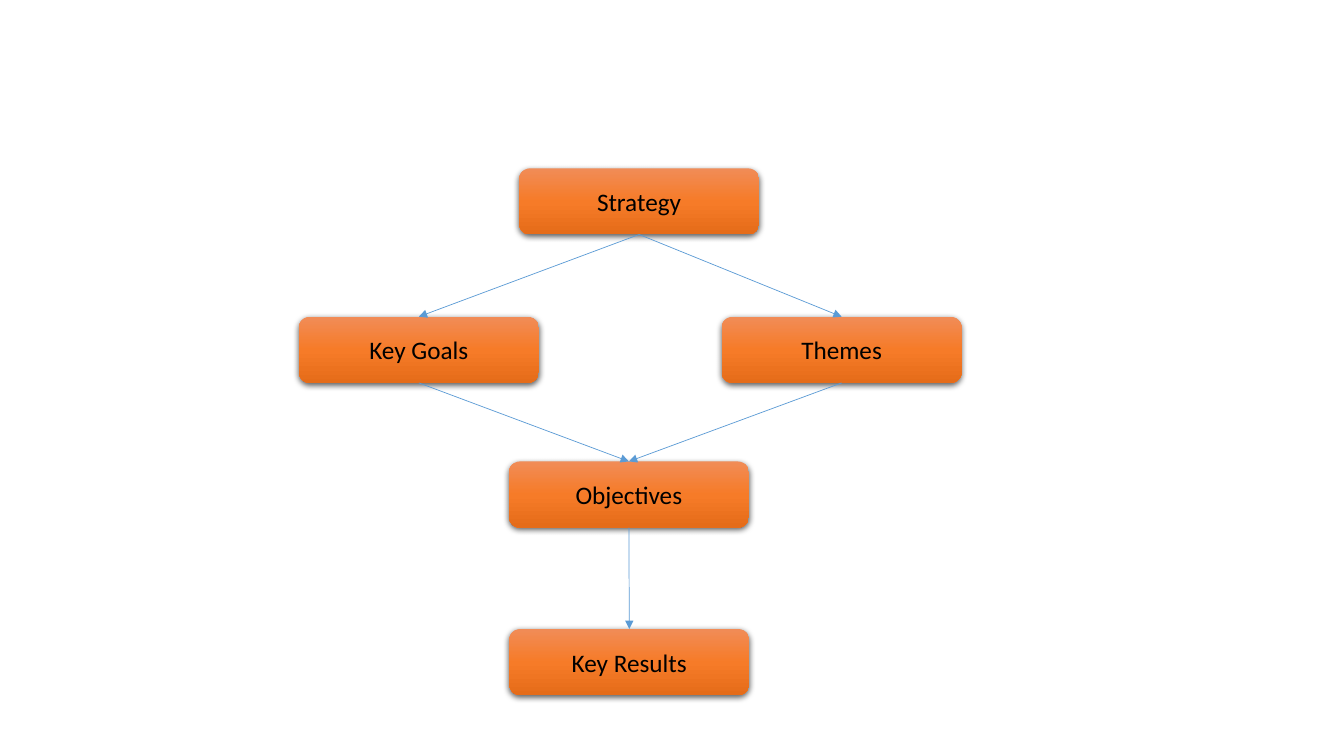
from dataclasses import dataclass

from lxml import etree
from pptx import Presentation
from pptx import util as u
from pptx.dml.color import RGBColor
from pptx.enum import shapes, text
from pptx.oxml import ns


@dataclass(frozen=True)
class Theme:
    gradient: tuple = ((0, "F18C57"), (50, "F67B28"), (100, "E56C19"))
    shadow: str = "000000"
    label: str = "000000"
    arrow: str = "5B9BD5"
    font: str = "Calibri"
    label_size: float = 18
    arrow_width: float = 0.5


@dataclass(frozen=True)
class Box:
    label: str
    left: float
    top: float


THEME = Theme()
SLIDE_WIDTH, SLIDE_HEIGHT = u.Inches(13.33), u.Inches(7.5)
BOX_WIDTH, BOX_HEIGHT = 17.85, 8.75
ROWS = (22.27, 41.9, 61.04, 83.2)
BOTTOM_SITE, TOP_SITE = 2, 0

BOXES = (
    Box("Strategy", 38.63, ROWS[0]),
    Box("Themes", 53.7, ROWS[1]),
    Box("Key Goals", 22.24, ROWS[1]),
    Box("Objectives", 37.87, ROWS[2]),
    Box("Key Results", 37.9, ROWS[3]),
)
ARROWS = (
    ("Strategy", "Themes"),
    ("Strategy", "Key Goals"),
    ("Key Goals", "Objectives"),
    ("Themes", "Objectives"),
    ("Objectives", "Key Results"),
)


def across(percent: float) -> int:
    return round(SLIDE_WIDTH * percent / 100)


def down(percent: float) -> int:
    return round(SLIDE_HEIGHT * percent / 100)


def add_element(parent, tag: str, **attributes):
    values = {name: str(value) for name, value in attributes.items()}
    return etree.SubElement(parent, ns.qn(tag), values)


def fill_gradient(shape) -> None:
    shape.fill.gradient()
    gradient = shape.element.spPr.find(ns.qn("a:gradFill"))
    for child in list(gradient):
        gradient.remove(child)
    stops = add_element(gradient, "a:gsLst")
    for percent, color in THEME.gradient:
        stop = add_element(stops, "a:gs", pos=percent * 1000)
        add_element(stop, "a:srgbClr", val=color)
    add_element(gradient, "a:lin", ang=90 * 60000, scaled=0)


def cast_shadow(shape) -> None:
    shape.shadow.inherit = False
    effects = shape.element.spPr.find(ns.qn("a:effectLst"))
    shadow = add_element(effects, "a:outerShdw", blurRad=u.Pt(4.5), dist=u.Pt(1.5),
                         dir=90 * 60000, algn="ctr", rotWithShape=0)
    color = add_element(shadow, "a:srgbClr", val=THEME.shadow)
    add_element(color, "a:alpha", val=63000)


def write_text(shape, content: str, *, size: float, color: str, font: str) -> None:
    frame = shape.text_frame
    frame.word_wrap = True
    frame.vertical_anchor = text.MSO_ANCHOR.MIDDLE
    paragraph = frame.paragraphs[0]
    paragraph.alignment = text.PP_ALIGN.CENTER
    run = paragraph.add_run()
    run.text = content
    run.font.size = u.Pt(size)
    run.font.name = font
    run.font.color.rgb = RGBColor.from_string(color)


def draw_box(slide, box: Box):
    shape = slide.shapes.add_shape(
        shapes.MSO_SHAPE.ROUNDED_RECTANGLE,
        across(box.left), down(box.top), across(BOX_WIDTH), down(BOX_HEIGHT))
    fill_gradient(shape)
    shape.line.fill.background()
    cast_shadow(shape)
    write_text(shape, box.label, size=THEME.label_size,
               color=THEME.label, font=THEME.font)
    return shape


def draw_arrow(slide, source, target) -> None:
    connector = slide.shapes.add_connector(
        shapes.MSO_CONNECTOR.STRAIGHT,
        source.left + source.width // 2, source.top + source.height,
        target.left + target.width // 2, target.top)
    connector.begin_connect(source, BOTTOM_SITE)
    connector.end_connect(target, TOP_SITE)
    connector.line.color.rgb = RGBColor.from_string(THEME.arrow)
    connector.line.width = u.Pt(THEME.arrow_width)
    add_element(connector.get_or_add_ln(), "a:tailEnd", type="triangle")
    add_element(connector.element.spPr, "a:effectLst")


def main() -> None:
    presentation = Presentation()
    presentation.slide_width = SLIDE_WIDTH
    presentation.slide_height = SLIDE_HEIGHT
    slide = presentation.slides.add_slide(presentation.slide_layouts[6])
    boxes = {box.label: draw_box(slide, box) for box in BOXES}
    for source, target in ARROWS:
        draw_arrow(slide, boxes[source], boxes[target])
    presentation.save("out.pptx")


if __name__ == "__main__":
    main()
